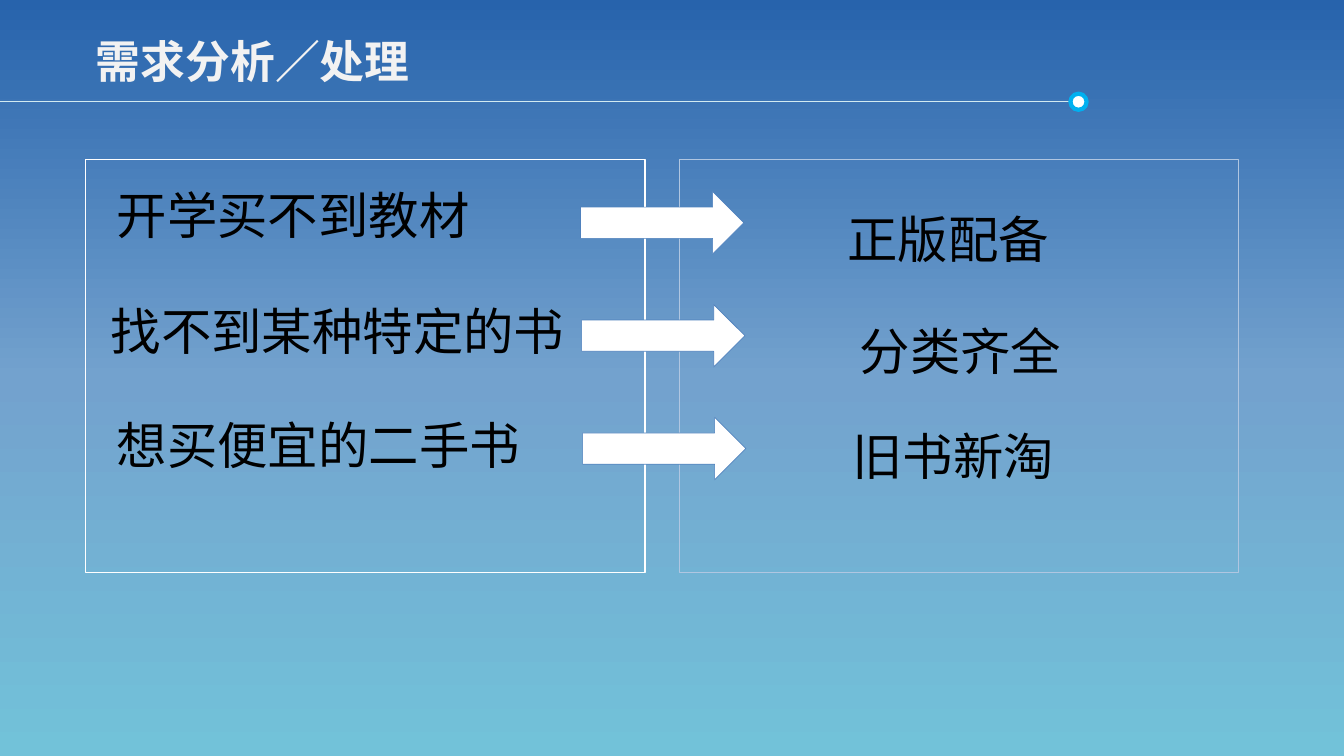
from copy import deepcopy

from lxml import etree
from pptx import Presentation
from pptx.dml.color import RGBColor
from pptx.enum.shapes import MSO_CONNECTOR, MSO_SHAPE
from pptx.enum.text import MSO_ANCHOR, MSO_AUTO_SIZE, PP_ALIGN
from pptx.oxml.ns import qn
from pptx.util import Pt

STRAIGHT = MSO_CONNECTOR.STRAIGHT
RECTANGLE = MSO_SHAPE.RECTANGLE
OVAL = MSO_SHAPE.OVAL
RIGHT_ARROW = MSO_SHAPE.RIGHT_ARROW
MIDDLE = MSO_ANCHOR.MIDDLE
NO_AUTO_SIZE = MSO_AUTO_SIZE.NONE
LEFT = PP_ALIGN.LEFT

WHITE = RGBColor(0xFF, 0xFF, 0xFF)
BLACK = RGBColor(0x00, 0x00, 0x00)
TITLE_GREY = RGBColor(0xF2, 0xF2, 0xF2)
RULE_BLUE = RGBColor(0xD1, 0xEA, 0xF1)
DOT_BLUE = RGBColor(0x00, 0xB0, 0xF0)
PANEL_BLUE = RGBColor(0xB0, 0xC6, 0xE1)
ARROW_BLUE = RGBColor(0x4F, 0x81, 0xBD)
BACKGROUND = [RGBColor(0x27, 0x63, 0xAC), RGBColor(0x73, 0xA2, 0xCE), RGBColor(0x72, 0xC2, 0xD9)]

PANEL_TOP, PANEL_WIDTH, PANEL_HEIGHT = 113.76, 399.6, 295.2
ARROW_WIDTH, ARROW_HEIGHT = 116.64, 44.64
ARROW_LEFT, ARROW_TOP = 414.72, 136.8
ROW_STEP, ARROW_SHIFT = 80.64, 0.72
TEXT_HEIGHT = 51.12
SOLUTION_WIDTH = 159.84

NEEDS = [
    ("开学买不到教材", 76.32, 127.44, 269.28),
    ("找不到某种特定的书", 72, 210.24, 353.52),
    ("想买便宜的二手书", 76.32, 291.6, 305.28),
]
SOLUTIONS = [
    ("正版配备", 598.32, 144.72),
    ("分类齐全", 606.96, 224.64),
    ("旧书新淘", 601.92, 299.52),
]


class SlideBuilder:
    title_font = "Noto Sans CJK SC"
    body_font = "Calibri"
    title_size = 32
    body_size = 36

    def __init__(self, slide):
        self.slide = slide

    def background(self, colors):
        fill = self.slide.background.fill
        fill.gradient()
        fill.gradient_angle = 270
        stop_list = self.slide.element.find(".//" + qn("a:gsLst"))
        stop_list.insert(1, deepcopy(stop_list[0]))
        for index, (stop, color) in enumerate(zip(fill.gradient_stops, colors)):
            stop.position = index / (len(colors) - 1)
            stop.color.rgb = color

    def rule(self, left, right, top, color, width):
        connector = self.slide.shapes.add_connector(STRAIGHT, Pt(left), Pt(top), Pt(right), Pt(top))
        connector.line.color.rgb = color
        connector.line.width = Pt(width)
        etree.SubElement(connector.element.spPr, qn("a:effectLst"))

    def shape(self, kind, left, top, width, height, line_color, line_width, fill_color=None):
        shape = self.slide.shapes.add_shape(kind, Pt(left), Pt(top), Pt(width), Pt(height))
        shape.shadow.inherit = False
        if fill_color is None:
            shape.fill.background()
        else:
            shape.fill.solid()
            shape.fill.fore_color.rgb = fill_color
        shape.line.color.rgb = line_color
        shape.line.width = Pt(line_width)

    def title(self, text, left, top, width, height):
        shape = self.slide.shapes.title
        shape.left, shape.top, shape.width, shape.height = Pt(left), Pt(top), Pt(width), Pt(height)
        self.format_text(shape, text, self.title_font, self.title_size, TITLE_GREY, True)

    def text(self, text, left, top, width):
        shape = self.slide.shapes.add_textbox(Pt(left), Pt(top), Pt(width), Pt(TEXT_HEIGHT))
        self.format_text(shape, text, self.body_font, self.body_size, BLACK, False)

    def format_text(self, shape, text, font_name, size, color, bold):
        frame = shape.text_frame
        frame.text = text
        frame.word_wrap = False
        frame.auto_size = NO_AUTO_SIZE
        frame.vertical_anchor = MIDDLE
        paragraph = frame.paragraphs[0]
        paragraph.alignment = LEFT
        font = paragraph.runs[0].font
        font.name = font_name
        font.size = Pt(size)
        font.bold = bold
        font.color.rgb = color
        east_asian = etree.Element(qn("a:ea"), typeface=font_name)
        paragraph.runs[0].font._element.find(qn("a:latin")).addnext(east_asian)


def main():
    presentation = Presentation()
    presentation.slide_width, presentation.slide_height = Pt(960), Pt(540)
    builder = SlideBuilder(presentation.slides.add_slide(presentation.slide_layouts[5]))

    builder.background(BACKGROUND)
    builder.rule(0, 770.4, 72.72, RULE_BLUE, 0.5)
    builder.shape(OVAL, 764.64, 66.96, 11.52, 11.52, DOT_BLUE, 3, WHITE)
    builder.title("需求分析／处理", 61.2, 20.16, 240.48, 46.08)

    for left, color in ((61.2, WHITE), (485.28, PANEL_BLUE)):
        builder.shape(RECTANGLE, left, PANEL_TOP, PANEL_WIDTH, PANEL_HEIGHT, color, 1)

    for row, (need, solution) in enumerate(zip(NEEDS, SOLUTIONS)):
        builder.text(*need)
        builder.shape(RIGHT_ARROW, ARROW_LEFT + row * ARROW_SHIFT, ARROW_TOP + row * ROW_STEP,
                      ARROW_WIDTH, ARROW_HEIGHT, ARROW_BLUE, 0.5, WHITE)
        builder.text(*solution, SOLUTION_WIDTH)

    presentation.save("out.pptx")


if __name__ == "__main__":
    main()
